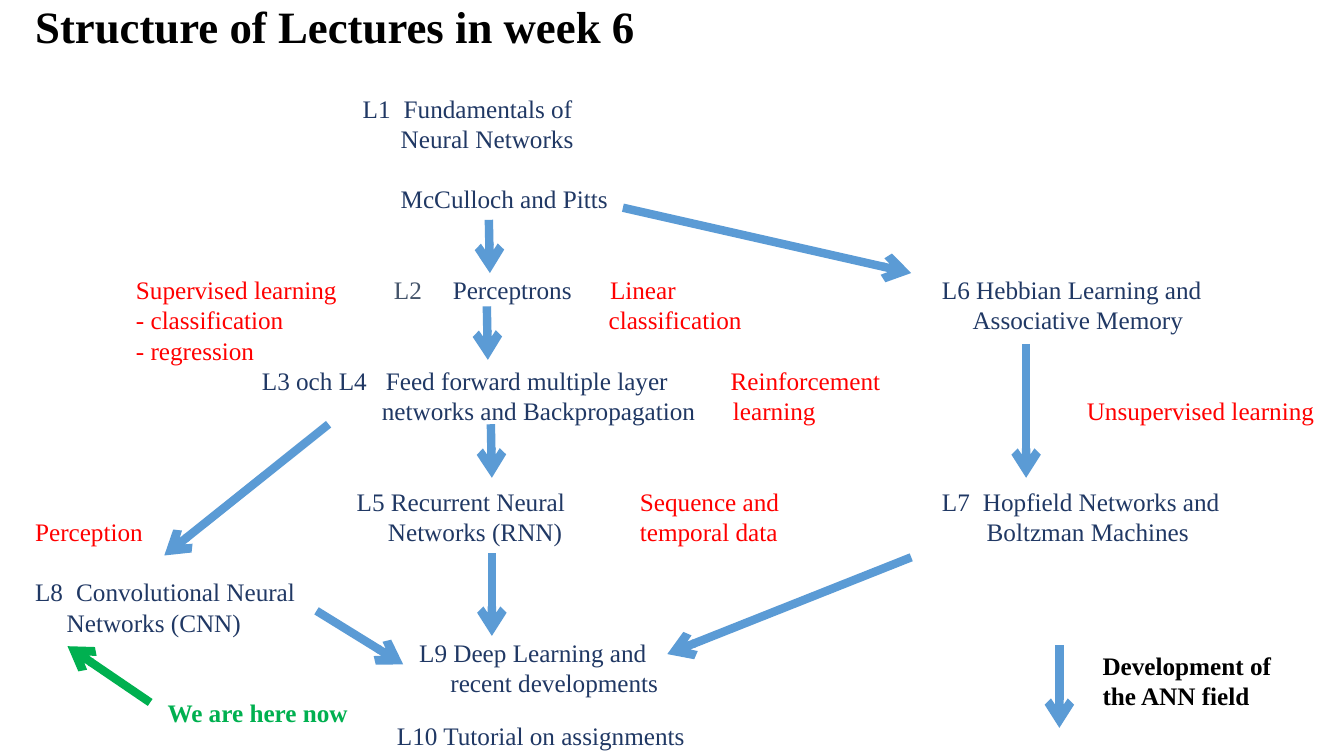
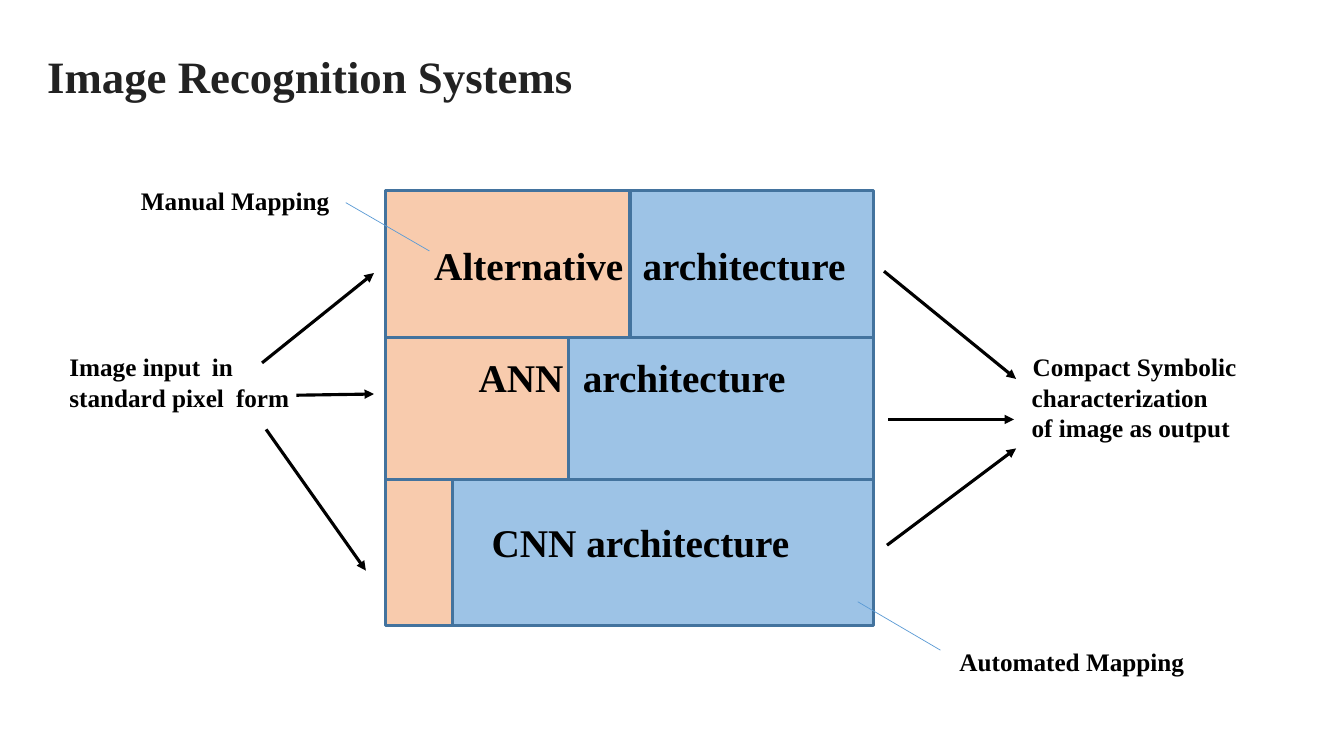
from dataclasses import dataclass

from lxml.etree import SubElement
from pptx import Presentation
from pptx.dml.color import RGBColor
from pptx.enum.shapes import MSO_CONNECTOR, MSO_SHAPE
from pptx.enum.text import MSO_AUTO_SIZE, PP_ALIGN
from pptx.oxml.ns import qn
from pptx.slide import Slide
from pptx.util import Inches, Pt


@dataclass(frozen=True)
class Theme:
    font: str = "Times New Roman"
    black: str = "000000"
    ink: str = "222222"
    navy: str = "203864"
    slate: str = "44546A"
    red: str = "FF0000"
    green: str = "00B050"
    blue: str = "5B9BD5"
    sky: str = "9DC3E6"
    peach: str = "F8CBAD"
    edge: str = "43739E"
    title: int = 32
    large: int = 28
    body: int = 18
    lead: float = 1.2
    thick: float = 6
    rule: float = 2.25
    hair: float = 0.5


THEME = Theme()


@dataclass(frozen=True)
class Bit:
    col: float
    text: str
    color: str = THEME.black
    bold: bool = False


@dataclass(frozen=True)
class Row:
    bits: tuple[Bit, ...]
    skip: float = 0
    size: int = THEME.body


@dataclass(frozen=True)
class Box:
    left: float
    top: float
    width: float
    height: float
    rows: tuple[Row, ...]
    wrap: bool = False


@dataclass(frozen=True)
class Line:
    start: tuple[float, float]
    end: tuple[float, float]
    color: str
    width: float
    head: str = ""


@dataclass(frozen=True)
class Band:
    top: float
    base: float
    split: float


WIDTH, HEIGHT = Inches(13.333), Inches(7.5)
COLS, ROWS = 40, 25
INSET = 0.3
LEFT, RIGHT = 11.47, 25.99


def across(col: float) -> int:
    return round(WIDTH * col / COLS)


def down(row: float) -> int:
    return round(HEIGHT * row / ROWS)


def write(slide: Slide, box: Box) -> None:
    shape = slide.shapes.add_textbox(
        across(box.left), down(box.top), across(box.width), down(box.height)
    )
    frame = shape.text_frame
    frame.word_wrap = box.wrap
    frame.auto_size = MSO_AUTO_SIZE.SHAPE_TO_FIT_TEXT
    for spot, row in enumerate(box.rows):
        para = frame.paragraphs[0] if spot == 0 else frame.add_paragraph()
        para.alignment = PP_ALIGN.LEFT
        if row.skip:
            para.space_before = Pt(row.skip * THEME.body * THEME.lead)
        stops = [bit.col - box.left - INSET for bit in row.bits]
        if max(stops) > 0:
            tabs = SubElement(para._p.get_or_add_pPr(), qn("a:tabLst"))
            for stop in stops:
                if stop > 0:
                    SubElement(tabs, qn("a:tab"), pos=str(across(stop)), algn="l")
        for bit, stop in zip(row.bits, stops):
            run = para.add_run()
            run.text = ("\t" if stop > 0 else "") + bit.text
            style = {"name": THEME.font, "size": Pt(row.size), "bold": bit.bold}
            for key, value in style.items():
                setattr(run.font, key, value)
            run.font.color.rgb = RGBColor.from_string(bit.color)


def link(slide: Slide, line: Line) -> None:
    (col, row), (stop, base) = line.start, line.end
    wire = slide.shapes.add_connector(
        MSO_CONNECTOR.STRAIGHT, across(col), down(row), across(stop), down(base)
    )
    wire.line.color.rgb = RGBColor.from_string(line.color)
    wire.line.width = Pt(line.width)
    props = wire._element.spPr
    if line.head:
        SubElement(props.find(qn("a:ln")), qn("a:tailEnd"), type=line.head)
    SubElement(props, qn("a:effectLst"))


def block(slide: Slide, left: float, right: float, band: Band, fill: str) -> None:
    shape = slide.shapes.add_shape(
        MSO_SHAPE.RECTANGLE,
        across(left),
        down(band.top),
        across(right - left),
        down(band.base - band.top),
    )
    shape.shadow.inherit = False
    shape.fill.solid()
    shape.fill.fore_color.rgb = RGBColor.from_string(fill)
    shape.line.color.rgb = RGBColor.from_string(THEME.edge)
    shape.line.width = Pt(THEME.rule)


def navy(col: float, text: str) -> Bit:
    return Bit(col, text, THEME.navy)


def red(col: float, text: str) -> Bit:
    return Bit(col, text, THEME.red)


def strong(text: str, size: int = THEME.body, color: str = THEME.black) -> Row:
    return Row((Bit(0, text, color, True),), size=size)


def course(slide: Slide) -> None:
    rows = (
        strong("Structure of Lectures in week 6", THEME.title),
        Row((navy(10.8, "L1"), navy(12.02, "Fundamentals of")), 1.33),
        Row((navy(11.93, "Neural Networks"),)),
        Row((navy(11.93, "McCulloch and Pitts"),), 1),
        Row((
            red(4.05, "Supervised learning"),
            Bit(11.73, "L2", THEME.slate),
            navy(13.48, "Perceptrons"),
            red(18.16, "Linear"),
            navy(28.04, "L6 Hebbian Learning and"),
        ), 2),
        Row((
            red(4.05, "- classification"),
            red(18.12, "classification"),
            navy(28.95, "Associative Memory"),
        )),
        Row((red(4.05, "- regression"),)),
        Row((
            navy(7.8, "L3 och L4"),
            navy(11.49, "Feed forward multiple layer"),
            red(21.75, "Reinforcement"),
        )),
        Row((
            navy(11.37, "networks and Backpropagation"),
            red(21.82, "learning"),
            red(32.35, "Unsupervised learning"),
        )),
        Row((
            navy(10.62, "L5 Recurrent Neural"),
            red(19.05, "Sequence and"),
            navy(28.04, "L7"),
            navy(29.26, "Hopfield Networks and"),
        ), 2),
        Row((
            red(0, "Perception"),
            navy(11.55, "Networks (RNN)"),
            red(19.05, "temporal data"),
            navy(29.37, "Boltzman Machines"),
        )),
        Row((navy(0, "L8"), navy(2.27, "Convolutional Neural")), 1),
        Row((navy(1.99, "Networks (CNN)"),)),
        Row((navy(12.48, "L9 Deep Learning and"),)),
        Row((navy(13.41, "recent developments"),)),
        Row((Bit(4.99, "We are here now", THEME.green, True),)),
    )
    write(slide, Box(0.75, -0.2, 38.79, 25.7, rows, True))
    flows = [
        ((14.55, 7.27), (14.58, 9.03)),
        ((9.78, 14.03), (4.89, 18.37)),
        ((14.61, 14.03), (14.64, 15.8)),
        ((18.54, 6.87), (27.12, 9.03)),
        ((14.49, 10.13), (14.52, 11.9)),
        ((9.42, 20.2), (12, 21.97)),
        ((27.12, 18.43), (19.86, 21.63)),
        ((14.64, 18.3), (14.64, 21.03)),
        ((30.54, 11.37), (30.54, 15.8)),
        ((31.53, 21.33), (31.53, 24.07)),
    ]
    for start, end in flows:
        link(slide, Line(start, end, THEME.blue, THEME.thick, "arrow"))
    link(slide, Line((4.47, 23.23), (2.01, 21.37), THEME.green, THEME.thick, "arrow"))
    field = (strong("Development of"), strong("the ANN field"))
    write(slide, Box(32.52, 21.33, 5.67, 2.37, field))
    tutor = Row((navy(0, "L10 Tutorial on assignments"),))
    write(slide, Box(11.52, 23.67, 9.24, 1.33, (tutor,)))


def systems(slide: Slide) -> None:
    bands = [
        Band(6.3, 11.17, 18.75),
        Band(11.17, 15.87, 16.92),
        Band(15.87, 20.7, 13.47),
    ]
    for band in bands:
        block(slide, band.split, RIGHT, band, THEME.sky)
        block(slide, LEFT, band.split, band, THEME.peach)
    ends = [
        ((0, "Image input"), (6.31, "in"), (30.74, "Compact Symbolic")),
        ((0, "standard pixel"), (7.03, "form"), (30.71, "characterization")),
        ((30.71, "of image as output"),),
    ]
    rows = tuple(
        Row(tuple(Bit(col, text, bold=True) for col, text in parts)) for parts in ends
    )
    write(slide, Box(1.77, 11.47, 35.94, 3.37, rows, True))
    pairs = [
        (12.63, 7.8, 13.2, "Alternative", 19.13),
        (13.95, 11.53, 10.2, "ANN", 17.35),
    ]
    for left, top, width, text, col in pairs:
        bits = (Bit(0, text, bold=True), Bit(col, "architecture", bold=True))
        row = Row(bits, size=THEME.large)
        write(slide, Box(left, top, width, 1.9, (row,), True))
    labels = [
        (14.34, 16.97, 9.57, 1.9, strong("CNN architecture", THEME.large)),
        (3.9, 5.97, 6.27, 1.33, strong("Manual Mapping")),
        (28.26, 21.2, 7.35, 1.33, strong("Automated Mapping")),
        (1.11, 1.43, 16.38, 2.13,
         strong("Image Recognition Systems", THEME.title, THEME.ink)),
    ]
    for left, top, width, height, row in labels:
        write(slide, Box(left, top, width, height, (row,)))
    guides = [((10.29, 6.7), (12.78, 8.3)), ((25.53, 19.9), (27.99, 21.5))]
    for start, end in guides:
        link(slide, Line(start, end, THEME.blue, THEME.hair))
    flows = [
        ((7.8, 12), (11.13, 9.03)),
        ((8.82, 13.07), (11.13, 13.03)),
        ((7.92, 14.2), (10.89, 18.87)),
        ((26.31, 8.97), (30.24, 12.53)),
        ((26.43, 13.87), (30.18, 13.87)),
        ((26.4, 18.03), (30.24, 14.83)),
    ]
    for start, end in flows:
        link(slide, Line(start, end, THEME.black, THEME.rule, "triangle"))


def main() -> None:
    deck = Presentation()
    deck.slide_width, deck.slide_height = WIDTH, HEIGHT
    for draw in (course, systems):
        draw(deck.slides.add_slide(deck.slide_layouts[6]))
    deck.save("out.pptx")


if __name__ == "__main__":
    main()
